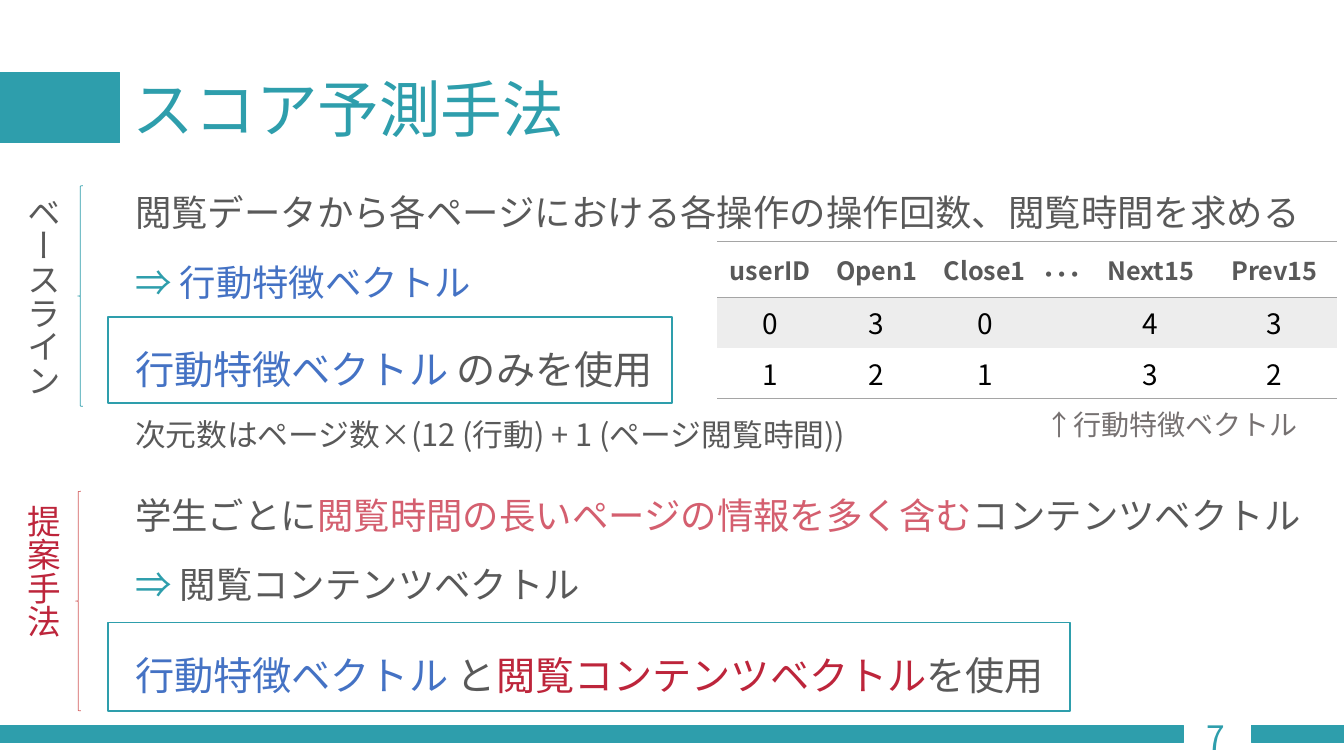
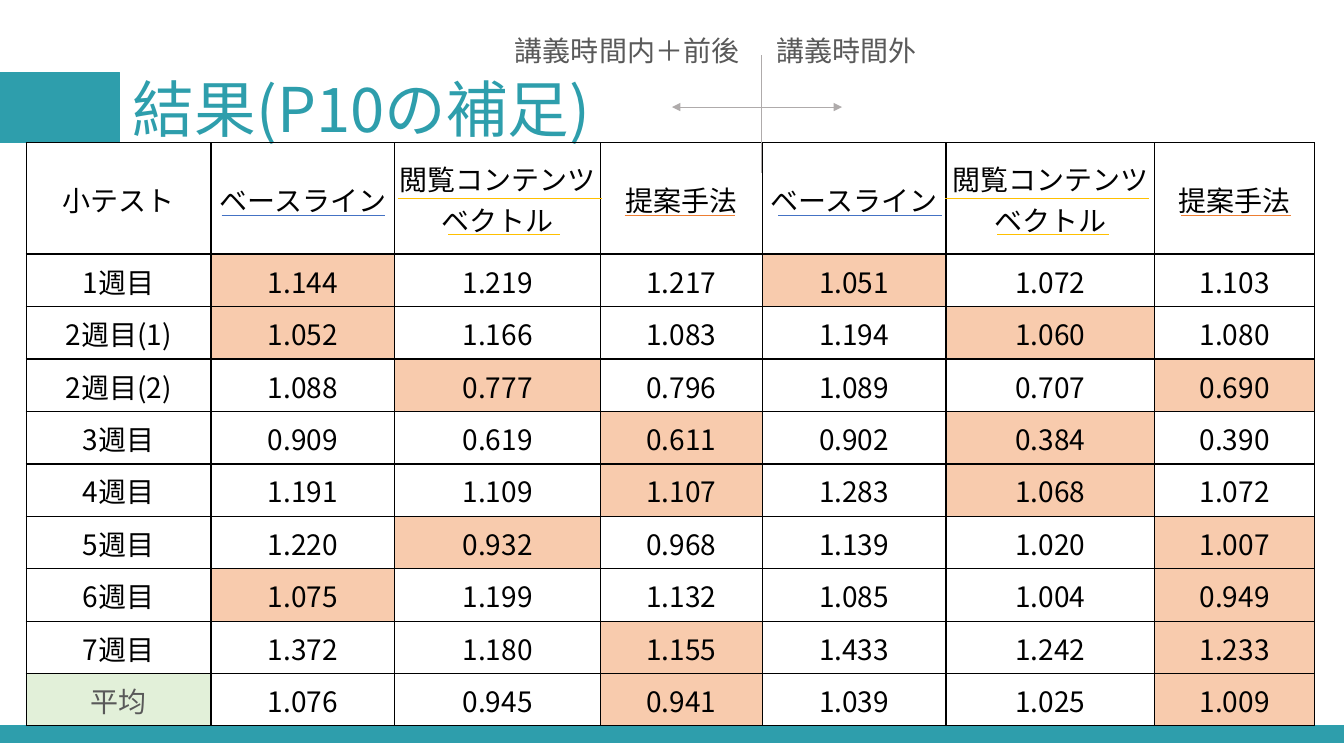
from lxml.etree import SubElement
from pptx import Presentation
from pptx.dml.color import RGBColor
from pptx.enum.shapes import MSO_CONNECTOR, MSO_SHAPE
from pptx.enum.text import MSO_ANCHOR, MSO_AUTO_SIZE, PP_ALIGN
from pptx.oxml.ns import qn
from pptx.util import Emu, Pt

FONT = "Noto Sans CJK JP"
EMU_PER_PX = 9525
NO_TABLE_STYLE = "{2D5ABB26-0587-4C30-8999-92F81FD0307C}"

TEAL = RGBColor(0x2E, 0x9E, 0xAC)
GRAY = RGBColor(0x59, 0x59, 0x59)
CAPTION_GRAY = RGBColor(0x76, 0x71, 0x71)
LINE_GRAY = RGBColor(0xAF, 0xAB, 0xAB)
RULE_GRAY = RGBColor(0xA5, 0xA5, 0xA5)
BAND_GRAY = RGBColor(0xED, 0xED, 0xED)
BLACK = RGBColor(0, 0, 0)
BLUE = RGBColor(0x44, 0x72, 0xC4)
RED = RGBColor(0xBD, 0x25, 0x3B)
PINK = RGBColor(0xD4, 0x5F, 0x6F)
BRACE_RED = RGBColor(0xD3, 0x5F, 0x5F)
ORANGE = RGBColor(0xED, 0x7D, 0x31)
YELLOW = RGBColor(0xFF, 0xC0, 0x00)
PEACH = RGBColor(0xF8, 0xCB, 0xAD)
PALE_GREEN = RGBColor(0xE2, 0xF0, 0xD9)

BEHAVIOR_PARAGRAPHS = [
    (26, 0, [("閲覧データから各ページにおける各操作の操作回数、閲覧時間を求める", GRAY)]),
    (26, 19, [("⇒ ", TEAL), ("行動特徴ベクトル", BLUE)]),
    (28, 29.5, [("行動特徴ベクトル ", BLUE), ("のみを使用", GRAY)]),
    (22, 16.5, [("次元数はページ数×(12 (行動) + 1 (ページ閲覧時間))", GRAY)]),
    (26, 29.5, [("学生ごとに", GRAY), ("閲覧時間の長いページの情報を多く含む", PINK),
                ("コンテンツベクトル", GRAY)]),
    (26, 17.5, [("⇒ ", TEAL), ("閲覧コンテンツベクトル", GRAY)]),
    (28, 32.5, [("行動特徴ベクトル ", BLUE), ("と", GRAY),
                ("閲覧コンテンツベクトル", RED), ("を使用", GRAY)]),
]

VECTOR_ROWS = [
    ("userID", "Open1", "Close1", "", "Next15", "Prev15"),
    ("0", "3", "0", "", "4", "3"),
    ("1", "2", "1", "", "3", "2"),
]

METHODS = ("ベースライン", "閲覧コンテンツベクトル", "提案手法")
RESULT_ROWS = [
    ("小テスト", *METHODS, *METHODS),
    ("1週目", "1.144", "1.219", "1.217", "1.051", "1.072", "1.103"),
    ("2週目(1)", "1.052", "1.166", "1.083", "1.194", "1.060", "1.080"),
    ("2週目(2)", "1.088", "0.777", "0.796", "1.089", "0.707", "0.690"),
    ("3週目", "0.909", "0.619", "0.611", "0.902", "0.384", "0.390"),
    ("4週目", "1.191", "1.109", "1.107", "1.283", "1.068", "1.072"),
    ("5週目", "1.220", "0.932", "0.968", "1.139", "1.020", "1.007"),
    ("6週目", "1.075", "1.199", "1.132", "1.085", "1.004", "0.949"),
    ("7週目", "1.372", "1.180", "1.155", "1.433", "1.242", "1.233"),
    ("平均", "1.076", "0.945", "0.941", "1.039", "1.025", "1.009"),
]


def px(value):
    return Emu(value * EMU_PER_PX)


def box(*lengths):
    return [px(length) for length in lengths]


def set_values(target, values):
    for name, value in values.items():
        setattr(target, name, value)


def place(shape, left, top, width, height):
    names = ("left", "top", "width", "height")
    set_values(shape, dict(zip(names, box(left, top, width, height))))


def add_run(paragraph, text, size, color, bold=False):
    run = paragraph.add_run()
    run.text = text
    set_values(run.font, {"size": Pt(size), "bold": bold, "name": FONT})
    run.font.color.rgb = color
    SubElement(run.font._element, qn("a:ea")).set("typeface", FONT)


def add_label(slide, text, bounds, size, color, vertical=False):
    frame = slide.shapes.add_textbox(*box(*bounds)).text_frame
    frame.word_wrap = True
    add_run(frame.paragraphs[0], text, size, color)
    if vertical:
        frame._txBody.bodyPr.set("vert", "eaVert")


def add_outline(slide, kind, bounds, color, weight=1, filled=False):
    shape = slide.shapes.add_shape(kind, *box(*bounds))
    shape.shadow.inherit = False
    shape.line.color.rgb = color
    shape.line.width = Pt(weight)
    if filled:
        shape.fill.solid()
        shape.fill.fore_color.rgb = color
    else:
        shape.fill.background()


def add_line(slide, start, end, color, arrows=False):
    line = slide.shapes.add_connector(MSO_CONNECTOR.STRAIGHT, *box(*start, *end))
    line.line.color.rgb = color
    line.line.width = Pt(0.5)
    if arrows:
        outline = line.line._get_or_add_ln()
        for tag in ("a:headEnd", "a:tailEnd"):
            SubElement(outline, qn(tag)).set("type", "triangle")
    SubElement(line._element.spPr, qn("a:effectLst"))


def set_borders(cell, sides, color):
    properties = cell._tc.get_or_add_tcPr()
    for index, side in enumerate(sides):
        border = SubElement(properties, qn(f"a:ln{side}"), w=str(Pt(1)))
        fill = SubElement(border, qn("a:solidFill"))
        SubElement(fill, qn("a:srgbClr")).set("val", str(color))
        properties.insert(index, border)


def add_table(slide, left, top, widths, heights):
    frame = slide.shapes.add_table(
        len(heights), len(widths), *box(left, top, sum(widths), sum(heights)))
    table = frame.table
    set_values(table, {"first_row": False, "horz_banding": False})
    table._tbl.tblPr.find(qn("a:tableStyleId")).text = NO_TABLE_STYLE
    for column, width in zip(table.columns, widths):
        column.width = px(width)
    for row, height in zip(table.rows, heights):
        row.height = px(height)
    return table


def fill_cell(cell, text, size, color, fill=None, bold=False):
    if fill is None:
        cell.fill.background()
    else:
        cell.fill.solid()
        cell.fill.fore_color.rgb = fill
    paragraph = cell.text_frame.paragraphs[0]
    paragraph.alignment = PP_ALIGN.CENTER
    if text:
        add_run(paragraph, text, size, color, bold)


def add_slide(presentation, layout_index, title_text, footer_bands):
    slide = presentation.slides.add_slide(presentation.slide_layouts[layout_index])
    title = slide.shapes.title
    place(title, 117, 38, 1104, 139)
    set_values(title.text_frame, {
        "vertical_anchor": MSO_ANCHOR.MIDDLE,
        "auto_size": MSO_AUTO_SIZE.NONE,
        "word_wrap": True,
    })
    paragraph = title.text_frame.paragraphs[0]
    set_values(paragraph, {"alignment": PP_ALIGN.LEFT, "line_spacing": 0.9})
    add_run(paragraph, title_text, 44, TEAL)
    bands = [(-4, 69, 118, 67)] + [(left, 691, width, 16) for left, width in footer_bands]
    for bounds in bands:
        add_outline(slide, MSO_SHAPE.RECTANGLE, bounds, TEAL, filled=True)
    return slide


def fill_body(body, paragraphs):
    place(body, 119, 176, 1146, 528)
    frame = body.text_frame
    set_values(frame, {"auto_size": MSO_AUTO_SIZE.NONE, "word_wrap": True,
                       "vertical_anchor": MSO_ANCHOR.TOP})
    for index, (size, gap, runs) in enumerate(paragraphs):
        paragraph = frame.add_paragraph() if index else frame.paragraphs[0]
        set_values(paragraph, {"line_spacing": 1.0, "space_before": Pt(gap),
                               "alignment": PP_ALIGN.LEFT})
        properties = paragraph._p.get_or_add_pPr()
        for name in ("marL", "indent"):
            properties.set(name, "0")
        SubElement(properties, qn("a:buNone"))
        for text, color in runs:
            add_run(paragraph, text, size, color)


def add_vector_table(slide):
    table = add_table(slide, 683, 230, (101, 102, 104, 47, 118, 118), (53, 48, 48))
    styles = [
        {"size": 18, "color": GRAY, "bold": True},
        {"size": 20, "color": BLACK, "fill": BAND_GRAY},
        {"size": 20, "color": BLACK},
    ]
    for row, texts, style, sides in zip(table.rows, VECTOR_ROWS, styles, ("TB", "", "B")):
        for cell, text in zip(row.cells, texts):
            fill_cell(cell, text, **style)
            set_borders(cell, sides, RULE_GRAY)
            if style is styles[0]:
                cell.vertical_anchor = MSO_ANCHOR.MIDDLE


def result_fills(texts):
    fills = [None]
    for half in (texts[1:4], texts[4:7]):
        best = min(half)
        fills += [PEACH if text == best else None for text in half]
    return fills


def add_result_table(slide):
    table = add_table(slide, 25, 136, (176, 175, 196, 154, 175, 199, 152),
                      [106] + [50] * 8 + [49])
    margins = {f"margin_{side}": px(1) for side in ("left", "top", "right")}
    for index, (row, texts) in enumerate(zip(table.rows, RESULT_ROWS)):
        fills = result_fills(texts) if index else [None] * len(texts)
        if texts[0] == "平均":
            fills[0] = PALE_GREEN
        for cell, text, fill in zip(row.cells, texts, fills):
            fill_cell(cell, text, 20, GRAY if fill == PALE_GREEN else BLACK, fill)
            set_borders(cell, "LRTB", BLACK)
            set_values(cell, {**margins, "margin_bottom": 0,
                              "vertical_anchor": MSO_ANCHOR.MIDDLE})


def build_method_slide(presentation):
    slide = add_slide(presentation, 1, "スコア予測手法", [(0, 1127), (1192, 88)])
    fill_body(slide.placeholders[1], BEHAVIOR_PARAGRAPHS)
    for bounds in ((103, 302, 537, 82), (103, 593, 916, 84)):
        add_outline(slide, MSO_SHAPE.RECTANGLE, bounds, TEAL)
    add_vector_table(slide)
    add_label(slide, "…", (983, 234, 36, 56), 28, GRAY)
    add_label(slide, "↑行動特徴ベクトル", (986, 383, 270, 54), 20, CAPTION_GRAY)
    add_label(slide, "7", (1140, 678, 56, 48), 24, TEAL)
    for bounds, color in (((74, 177, 5, 210), TEAL), ((72, 468, 5, 209), BRACE_RED)):
        add_outline(slide, MSO_SHAPE.LEFT_BRACE, bounds, color, 0.5)
    for text, top, color in (("ベースライン", 177, GRAY), ("提案手法", 471, RED)):
        add_label(slide, text, (6, top, 59, 234), 24, color, vertical=True)


def build_result_slide(presentation):
    slide = add_slide(presentation, 5, "結果(P10の補足)", [(1112, 168), (0, 1127)])
    add_result_table(slide)
    add_line(slide, (725, 165), (725, 52), LINE_GRAY)
    add_label(slide, "講義時間外", (730, 27, 174, 42), 20, GRAY)
    add_label(slide, "講義時間内＋前後", (481, 27, 274, 42), 20, GRAY)
    add_line(slide, (640, 102), (802, 102), LINE_GRAY, arrows=True)
    underlines = [
        (211, 205, 156, 530, BLUE),
        (595, 205, 105, 530, ORANGE),
        (379, 189, 194, 521, YELLOW),
        (427, 223, 106, 523, YELLOW),
    ]
    for left, top, length, half_offset, color in underlines:
        for start in (left, left + half_offset):
            add_line(slide, (start, top), (start + length, top), color)


def main():
    presentation = Presentation()
    set_values(presentation, {"slide_width": px(1280), "slide_height": px(720)})
    build_method_slide(presentation)
    build_result_slide(presentation)
    presentation.save("out.pptx")


if __name__ == "__main__":
    main()
